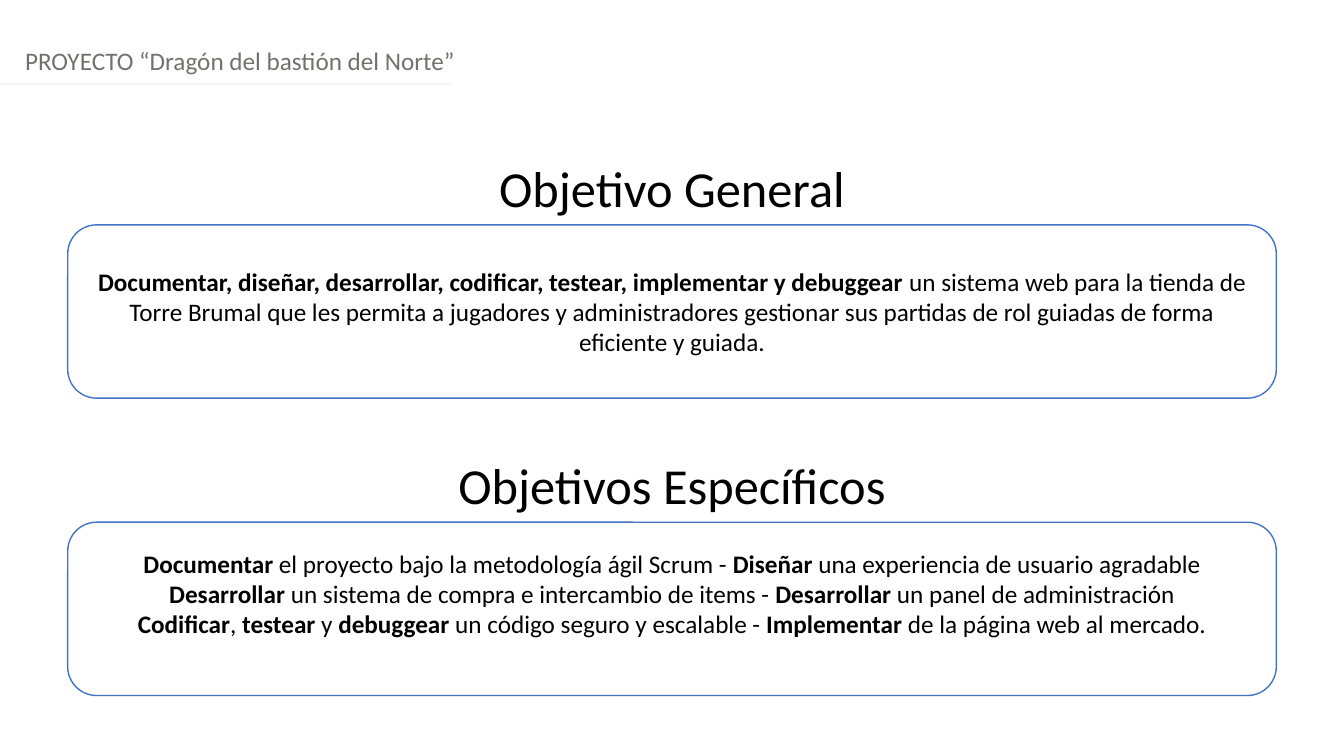
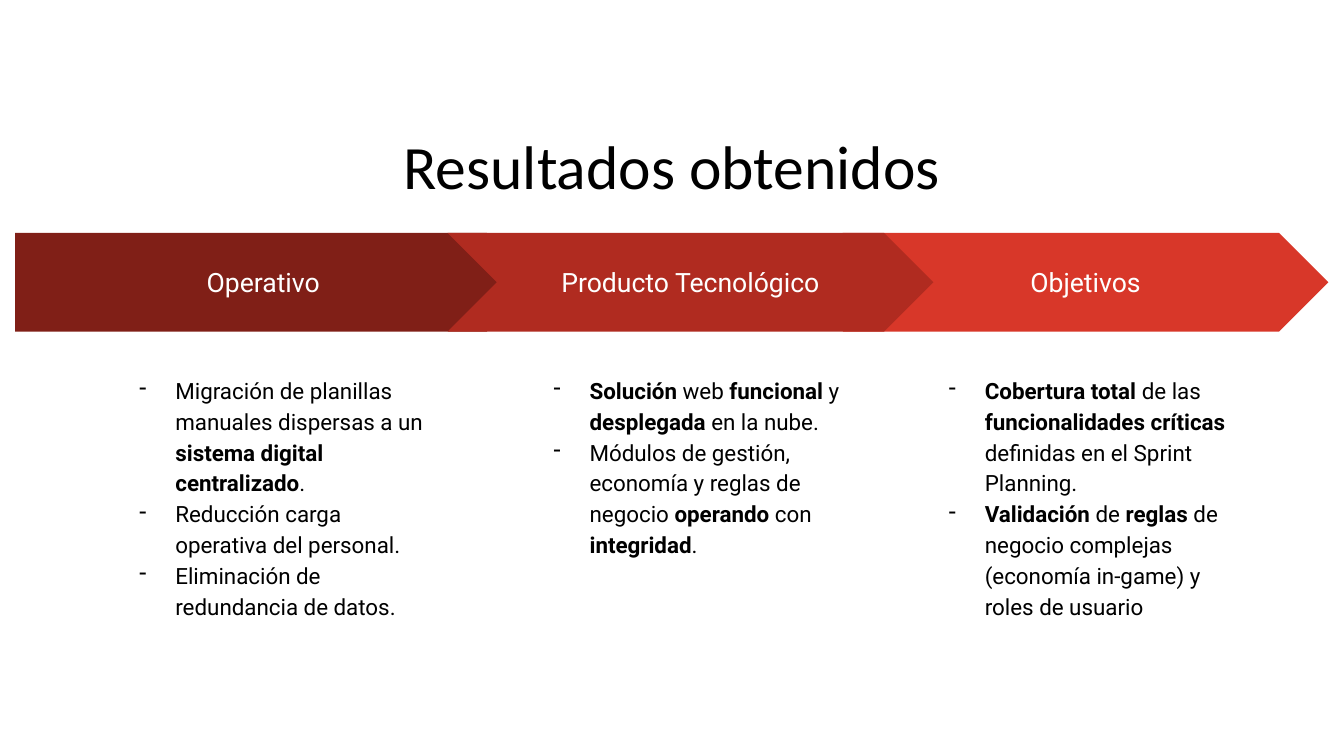
from lxml import etree
from pptx import Presentation
from pptx.dml.color import RGBColor
from pptx.enum.shapes import MSO_CONNECTOR, MSO_SHAPE
from pptx.enum.text import MSO_ANCHOR, MSO_AUTO_SIZE, PP_ALIGN
from pptx.oxml.ns import qn
from pptx.util import Pt

COLORS = {
    "text": "000000",
    "header": "757070",
    "header_rule": "F5F7FC",
    "card": "FFFFFF",
    "card_border": "4472C4",
    "on_arrow": "FFFFFF",
    "operational": "801F17",
    "product": "B02B20",
    "goals": "D83729",
}
BODY_FONT = "Calibri"
RESULTS_FONT = "Roboto"
SLIDE_WIDTH, SLIDE_HEIGHT = 960, 540
CARD_WIDTH, CARD_HEIGHT = 863.3, 123.8
ARROW_TOP, ARROW_HEIGHT = 166.3, 70.6
RESULTS_TOP, RESULTS_WIDTH, RESULTS_HEIGHT = 257, 234.7, 274.3
RESULTS_INSETS = (9.4, 9.4, 9.4, 9.4)

OBJECTIVES = [
    ("Objetivo General", 108.7, 3.6, [
        "**Documentar, diseñar, desarrollar, codificar, testear, implementar y "
        "debuggear** un sistema web para la tienda de Torre Brumal que les permita a "
        "jugadores y administradores gestionar sus partidas de rol guiadas de forma "
        "eficiente y guiada.",
    ]),
    ("Objetivos Específicos", 321.1, 25.6, [
        "**Documentar **el proyecto bajo la metodología ágil Scrum - **Diseñar **una "
        "experiencia de usuario agradable",
        "**Desarrollar **un sistema de compra e intercambio de items - "
        "**Desarrollar **un panel de administración",
        "**Codificar**, **testear **y **debuggear **un código seguro y escalable - "
        "**Implementar **de la página web al mercado.",
    ]),
]

# Back to front: each arrow overlaps the ones before it.
RESULTS = [
    ("Objetivos", MSO_SHAPE.CHEVRON, "goals", 601.9, 347, 658.1, [
        "**Cobertura total **de las **funcionalidades críticas **definidas en el "
        "Sprint Planning.",
        "**Validación **de **reglas **de negocio complejas (economía in-game) y roles "
        "de usuario",
    ]),
    ("Operativo", MSO_SHAPE.PENTAGON, "operational", 10.8, 372.2, 79.9, [
        "Migración de planillas manuales dispersas a un **sistema digital "
        "centralizado**.",
        "Reducción carga operativa del personal.",
        "Eliminación de redundancia de datos.",
    ]),
    ("Producto Tecnológico", MSO_SHAPE.CHEVRON, "product", 319.7, 347, 375.8, [
        "**Solución **web **funcional **y **desplegada **en la nube.",
        "Módulos de gestión, economía y reglas de negocio **operando **con "
        "**integridad**.",
    ]),
]


def rgb(color):
    return RGBColor.from_string(COLORS[color])


def add_dash_bullet(paragraph):
    properties = paragraph._p.get_or_add_pPr()
    properties.set("marL", str(Pt(36)))
    properties.set("indent", str(Pt(-25.9)))
    bullet_color = etree.SubElement(properties, qn("a:buClr"))
    etree.SubElement(bullet_color, qn("a:srgbClr"), val=COLORS["text"])
    etree.SubElement(properties, qn("a:buChar"), char="-")


def write_text(shape, paragraphs, *, size, font=BODY_FONT, color="text",
               align=PP_ALIGN.CENTER, anchor=MSO_ANCHOR.TOP,
               insets=(7.2, 3.6, 7.2, 3.6), line_spacing=None, dashes=False):
    """Fill a shape with paragraphs, where **words** are bold."""
    frame = shape.text_frame
    frame.word_wrap = True
    frame.vertical_anchor = anchor
    (frame.margin_left, frame.margin_top,
     frame.margin_right, frame.margin_bottom) = map(Pt, insets)
    for index, content in enumerate(paragraphs):
        paragraph = frame.add_paragraph() if index else frame.paragraphs[0]
        paragraph.alignment = align
        if line_spacing:
            paragraph.line_spacing = line_spacing
        if dashes:
            add_dash_bullet(paragraph)
        for position, words in enumerate(content.split("**")):
            if words:
                run = paragraph.add_run()
                run.text = words
                run.font.name = font
                run.font.size = Pt(size)
                run.font.bold = position % 2 == 1
                run.font.color.rgb = rgb(color)


def add_text(slide, left, top, width, height, paragraphs, **text_format):
    box = slide.shapes.add_textbox(Pt(left), Pt(top), Pt(width), Pt(height))
    write_text(box, paragraphs, **text_format)
    return box


def add_heading(slide, left, top, height, heading, **text_format):
    box = add_text(slide, left, top, SLIDE_WIDTH, height, [heading], **text_format)
    box.text_frame.auto_size = MSO_AUTO_SIZE.SHAPE_TO_FIT_TEXT


def add_panel(slide, preset, left, top, width, height, fill, border=None):
    panel = slide.shapes.add_shape(preset, Pt(left), Pt(top), Pt(width), Pt(height))
    panel.shadow.inherit = False
    panel.fill.solid()
    panel.fill.fore_color.rgb = rgb(fill)
    if border:
        panel.line.color.rgb = rgb(border)
        panel.line.width = Pt(1)
    else:
        panel.line.fill.background()
    return panel


def add_header_rule(slide):
    rule = slide.shapes.add_connector(
        MSO_CONNECTOR.STRAIGHT, Pt(0), Pt(59.8), Pt(321.8), Pt(59.8))
    rule.line.color.rgb = rgb("header_rule")
    rule.line.width = Pt(1.25)
    etree.SubElement(rule._element.spPr, qn("a:effectLst"))


def add_objective(slide, heading, top, bottom_inset, paragraphs):
    add_heading(slide, 0, top, 51, heading, size=36)
    card = add_panel(slide, MSO_SHAPE.ROUNDED_RECTANGLE,
                     (SLIDE_WIDTH - CARD_WIDTH) / 2, top + 51.9,
                     CARD_WIDTH, CARD_HEIGHT, "card", border="card_border")
    write_text(card, paragraphs, size=18, anchor=MSO_ANCHOR.MIDDLE,
               insets=(7.2, 3.6, 7.2, bottom_inset))


def add_result(slide, label, preset, fill, left, width, results_left, results):
    arrow = add_panel(slide, preset, left, ARROW_TOP, width, ARROW_HEIGHT, fill)
    write_text(arrow, [label], size=19, font=RESULTS_FONT, color="on_arrow",
               anchor=MSO_ANCHOR.MIDDLE, insets=RESULTS_INSETS)
    add_text(slide, results_left, RESULTS_TOP, RESULTS_WIDTH, RESULTS_HEIGHT, results,
             size=16, font=RESULTS_FONT, align=PP_ALIGN.LEFT, insets=RESULTS_INSETS,
             line_spacing=1.15, dashes=True)


def build_objectives(slide):
    add_heading(slide, 10.8, 28.8, 29, "PROYECTO “Dragón del bastión del Norte”",
                size=18, color="header", align=PP_ALIGN.LEFT)
    add_header_rule(slide)
    for objective in OBJECTIVES:
        add_objective(slide, *objective)


def build_results(slide):
    add_heading(slide, 0, 87.8, 60.5, "Resultados obtenidos", size=44)
    for result in RESULTS:
        add_result(slide, *result)


def main():
    presentation = Presentation()
    presentation.slide_width = Pt(SLIDE_WIDTH)
    presentation.slide_height = Pt(SLIDE_HEIGHT)
    blank = presentation.slide_layouts[6]
    for build in (build_objectives, build_results):
        build(presentation.slides.add_slide(blank))
    presentation.save("out.pptx")


if __name__ == "__main__":
    main()
